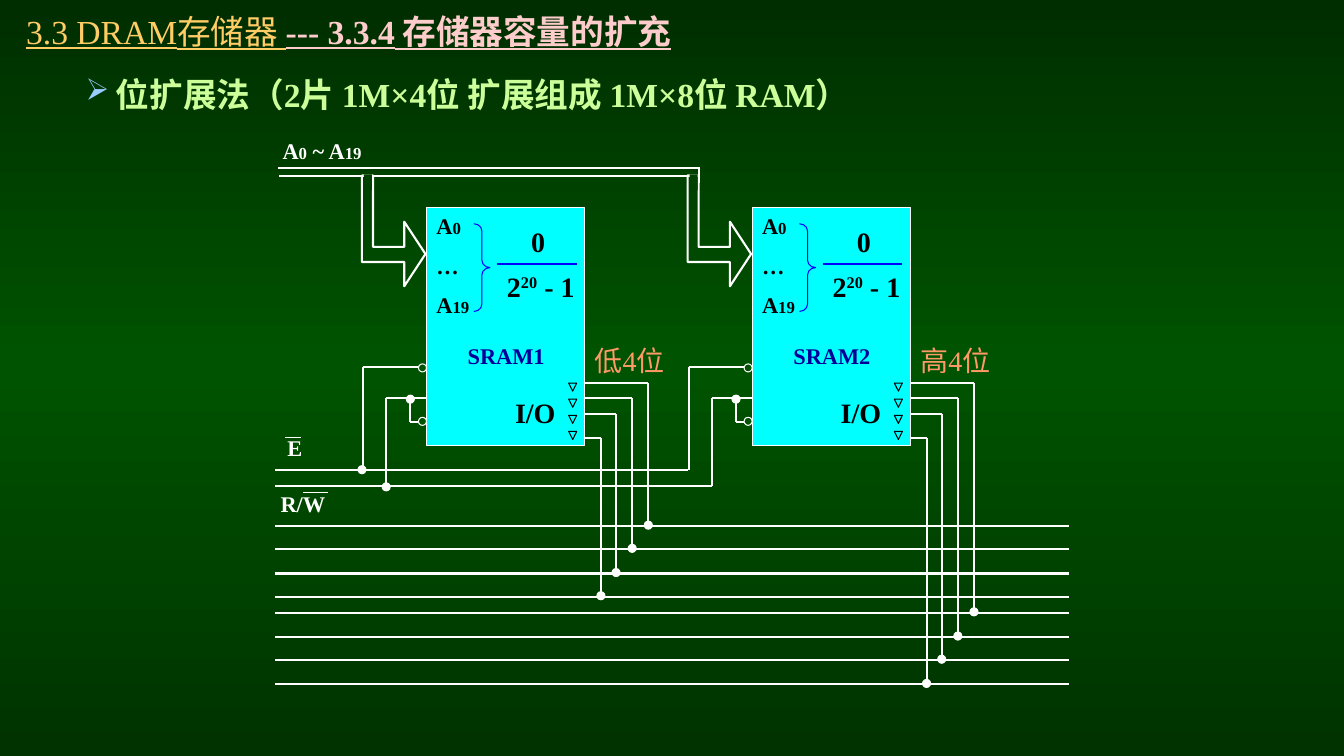
import copy

import pptx
import pptx.dml.color
import pptx.enum.shapes
import pptx.enum.text
import pptx.oxml
import pptx.oxml.ns
import pptx.util

Inches = pptx.util.Inches
Pt = pptx.util.Pt
RGB = pptx.dml.color.RGBColor.from_string
SHAPE = pptx.enum.shapes.MSO_SHAPE
ALIGN = pptx.enum.text.PP_ALIGN
ANCHOR = pptx.enum.text.MSO_ANCHOR
qn = pptx.oxml.ns.qn

LATIN = "Times New Roman"
CHINESE = "Noto Sans CJK SC"
COLORS = {
    "edge": "002E00", "middle": "005300", "bottom": "003300", "mask": "004000",
    "white": "FFFFFF", "black": "000000", "chip": "00FFFF", "blue": "0000FF",
    "name": "000099", "title": "FFCC66", "section": "FFCCCC",
    "heading": "CCFF99", "bullet": "99CCFF", "note": "FF9966",
}

deck = pptx.Presentation()
deck.slide_width = Inches(13.33)
deck.slide_height = Inches(7.5)
page = deck.slides.add_slide(deck.slide_layouts[6])

backdrop = page.background.fill
backdrop.gradient()
backdrop.gradient_angle = 270
stop_list = next(page.element.iter(qn("a:gsLst")))
stop_list.append(copy.deepcopy(stop_list[-1]))
for stop, position, color in zip(backdrop.gradient_stops, (0, 0.48, 1), ("edge", "middle", "bottom")):
    stop.position = position
    stop.color.rgb = RGB(COLORS[color])


def write(text, at, size=16, color="white", bold=True, align=ALIGN.LEFT,
          anchor=ANCHOR.TOP, underline=None, font=LATIN, gap=9):
    box = page.shapes.add_textbox(*map(Inches, at))
    frame = box.text_frame
    frame.word_wrap = True
    frame.vertical_anchor = anchor
    lines = [[(text, {})]] if isinstance(text, str) else text
    for index, line in enumerate(lines):
        para = frame.paragraphs[0] if index == 0 else frame.add_paragraph()
        para.alignment = align
        para.space_before = Pt(gap if index else 0)
        for words, change in line:
            span = para.add_run()
            span.text = words
            span.font.size = Pt(change.get("size", size))
            span.font.bold = change.get("bold", bold)
            span.font.underline = underline
            span.font.name = change.get("font", font)
            span.font.color.rgb = RGB(COLORS[change.get("color", color)])
            properties = span.font._element
            if "raised" in change:
                properties.set("baseline", str(change["raised"] * 1000))
            east_asian = pptx.oxml.parse_xml(
                f'<a:ea {pptx.oxml.ns.nsdecls("a")} typeface="{CHINESE}"/>')
            properties.find(qn("a:latin")).addnext(east_asian)
    return box


def draw(kind, at, fill=None, line=None, width=0.75):
    if kind == "outline":
        builder = page.shapes.build_freeform(Inches(at[0][0]), Inches(at[0][1]), 1.0)
        builder.add_line_segments([(Inches(x), Inches(y)) for x, y in at[1:]], close=True)
        figure = builder.convert_to_shape()
    else:
        figure = page.shapes.add_shape(kind, *map(Inches, at))
    figure.shadow.inherit = False
    if fill:
        figure.fill.solid()
        figure.fill.fore_color.rgb = RGB(COLORS[fill])
    else:
        figure.fill.background()
    if line:
        figure.line.color.rgb = RGB(COLORS[line])
        figure.line.width = Pt(width)
    else:
        figure.line.fill.background()
    return figure


write([[("3.3 DRAM存储器 ", {}),
        ("--- 3.3.4", {"color": "section", "bold": True}),
        (" 存储器容量的扩充", {"color": "section", "bold": True, "font": CHINESE})]],
      (0.16, 0.05, 12.91, 0.51), size=24, color="title", bold=False,
      underline=True, anchor=ANCHOR.MIDDLE)

heading = write("位扩展法（2片 1M×4位 扩展组成 1M×8位 RAM）",
                (0.26, 0.68, 12.81, 0.6), size=24, color="heading")
layout = heading.text_frame.paragraphs[0]._p.get_or_add_pPr()
layout.set("marL", str(Inches(0.79)))
layout.set("indent", str(-Inches(0.3)))
for markup in (f'<a:buClr {{}}><a:srgbClr val="{COLORS["bullet"]}"/></a:buClr>',
               '<a:buSzPct {} val="90000"/>', '<a:buChar {} char="➢"/>'):
    layout.append(pptx.oxml.parse_xml(markup.format(pptx.oxml.ns.nsdecls("a"))))

PITCH = 3.23
chips = [
    (0, "SRAM1", "低4位", (5.22, 5.45, 5.69, 5.92)),
    (PITCH, "SRAM2", "高4位", (6.08, 6.32, 6.55, 6.79)),
]
pins = [(6.43, 3.8), (6.27, 3.95), (6.11, 4.11), (5.96, 4.35)]
small = {"size": 12}
wires = [(2.77, 1.75, 6.94, 1.75, "white", 1.5), (2.76, 1.67, 6.93, 1.67, "white", 1.5),
         (6.93, 1.66, 6.93, 1.82, "white", 1.5),
         (2.73, 4.66, 6.82, 4.66, "white", 1.5), (2.73, 4.82, 7.06, 4.82, "white", 1.5),
         (2.83, 4.34, 2.99, 4.34, "white", 0.75), (3.01, 4.89, 3.25, 4.89, "white", 0.75)]
dots = [(3.59, 4.66), (3.83, 4.83)]

for shift, name, note, buses in chips:
    draw(SHAPE.RECTANGLE, (4.23 + shift, 2.06, 1.57, 2.36), "chip", "white")
    write([[("A", {}), ("0", small)], [("…", {})], [("A", {}), ("19", small)]],
          (4.23 + shift, 2.06, 0.55, 1.17), color="black")
    brace = draw(SHAPE.RIGHT_BRACE, (4.7 + shift, 2.22, 0.16, 0.87), line="blue")
    brace.adjustments[0] = 0.455
    write("0", (5.17 + shift, 2.18, 0.55, 0.43), size=20, color="black")
    write([[("2", {}), ("20", {"raised": 30}), (" - 1", {})]],
          (4.93 + shift, 2.62, 1.02, 0.43), size=20, color="black")
    write("I/O", (5.01 + shift, 3.87, 0.71, 0.43), size=20, color="black")
    write(name, (4.54 + shift, 3.35, 1.02, 0.37), color="name")
    write(note, (5.8 + shift, 3.36, 1.1, 0.43), size=20, color="note", bold=False)
    for row in range(4):
        marker = draw(SHAPE.ISOSCELES_TRIANGLE, (5.64 + shift, 3.8 + 0.16 * row, 0.08, 0.08),
                      "chip", "black")
        marker.rotation = 180

    wires.append((4.93 + shift, 2.62, 5.72 + shift, 2.62, "blue", 1.5))
    for (x, y), bus in zip(pins, buses):
        wires += [(2.73, bus, 10.6, bus, "white", 1.5),
                  (x + shift, y, x + shift, bus, "white", 1.5),
                  (x + shift, y, 5.8 + shift, y, "white", 1.5)]
        dots.append((x + shift, bus - 0.01))
    for x1, y1, x2, y2 in ((3.83, 4.82, 3.83, 3.95), (3.6, 4.66, 3.6, 3.64),
                           (4.07, 4.19, 4.23, 4.19), (3.83, 3.95, 4.23, 3.95),
                           (3.6, 3.64, 4.23, 3.64), (4.07, 3.95, 4.07, 4.19)):
        wires.append((x1 + shift, y1, x2 + shift, y2, "white", 1.5))
    dots.append((4.07 + shift, 3.96))

for x1, y1, x2, y2, color, width in wires:
    wire = page.shapes.add_connector(pptx.enum.shapes.MSO_CONNECTOR.STRAIGHT,
                                     *map(Inches, (x1, y1, x2, y2)))
    wire.line.color.rgb = RGB(COLORS[color])
    wire.line.width = Pt(width)
    wire._element.spPr.append(
        pptx.oxml.parse_xml(f'<a:effectLst {pptx.oxml.ns.nsdecls("a")}/>'))

arrow = [(4.22, 2.52), (4.01, 2.2), (4.01, 2.45), (3.7, 2.45), (3.7, 1.74),
         (3.59, 1.74), (3.59, 2.6), (4.01, 2.6), (4.01, 2.84)]
for shift, *_ in chips:
    draw("outline", [(x + shift, y) for x, y in arrow], line="white", width=1.5)
    draw(SHAPE.RECTANGLE, (3.61 + shift, 1.73, 0.08, 0.16), "mask")
    for top in (3.61, 4.14):
        draw(SHAPE.OVAL, (4.15 + shift, top, 0.08, 0.08), "middle", "white")

for x, y in dots:
    draw(SHAPE.OVAL, (x - 0.04, y - 0.04, 0.08, 0.08), "white", "white")

write("E", (2.73, 4.26, 0.39, 0.37), align=ALIGN.CENTER)
write("R/W", (2.57, 4.81, 0.87, 0.37), align=ALIGN.CENTER)
write([[("A", {}), ("0", small), (" ~ A", {}), ("19", small)]],
      (2.41, 1.31, 1.57, 0.37), align=ALIGN.CENTER)

deck.save("out.pptx")
